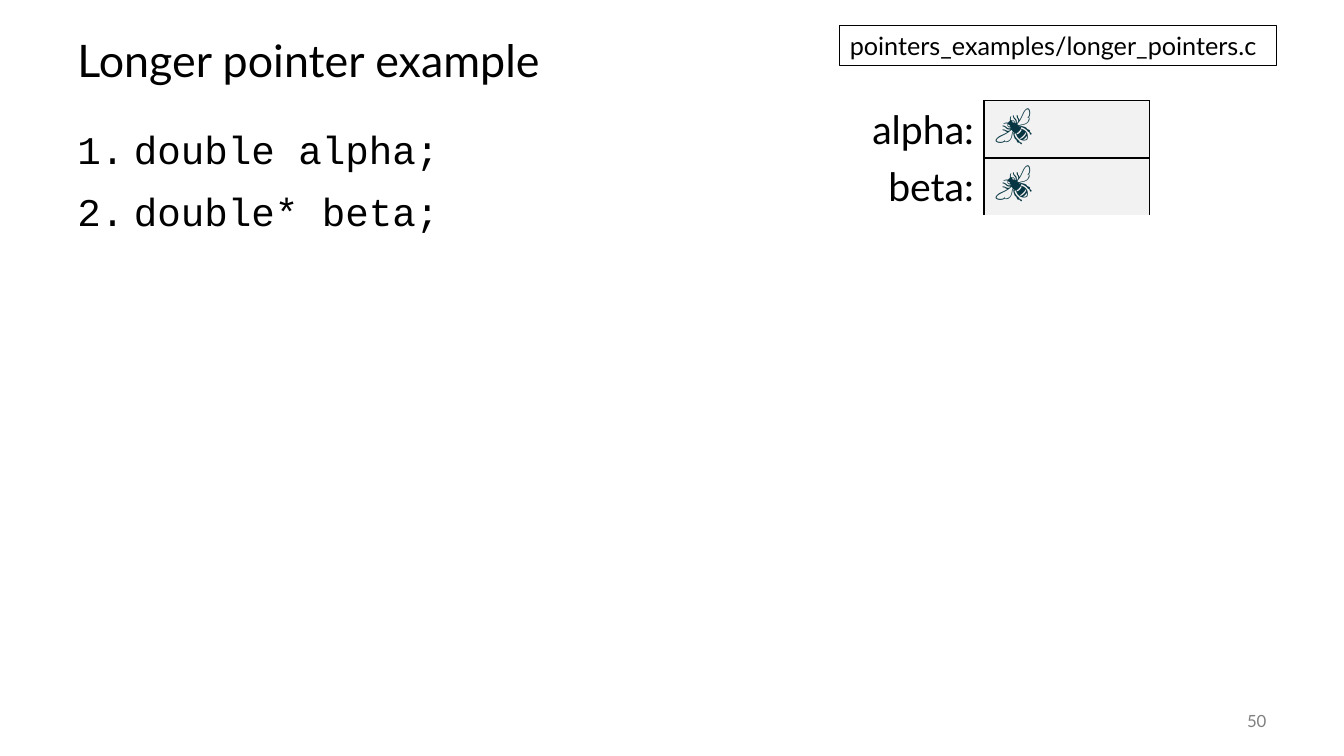
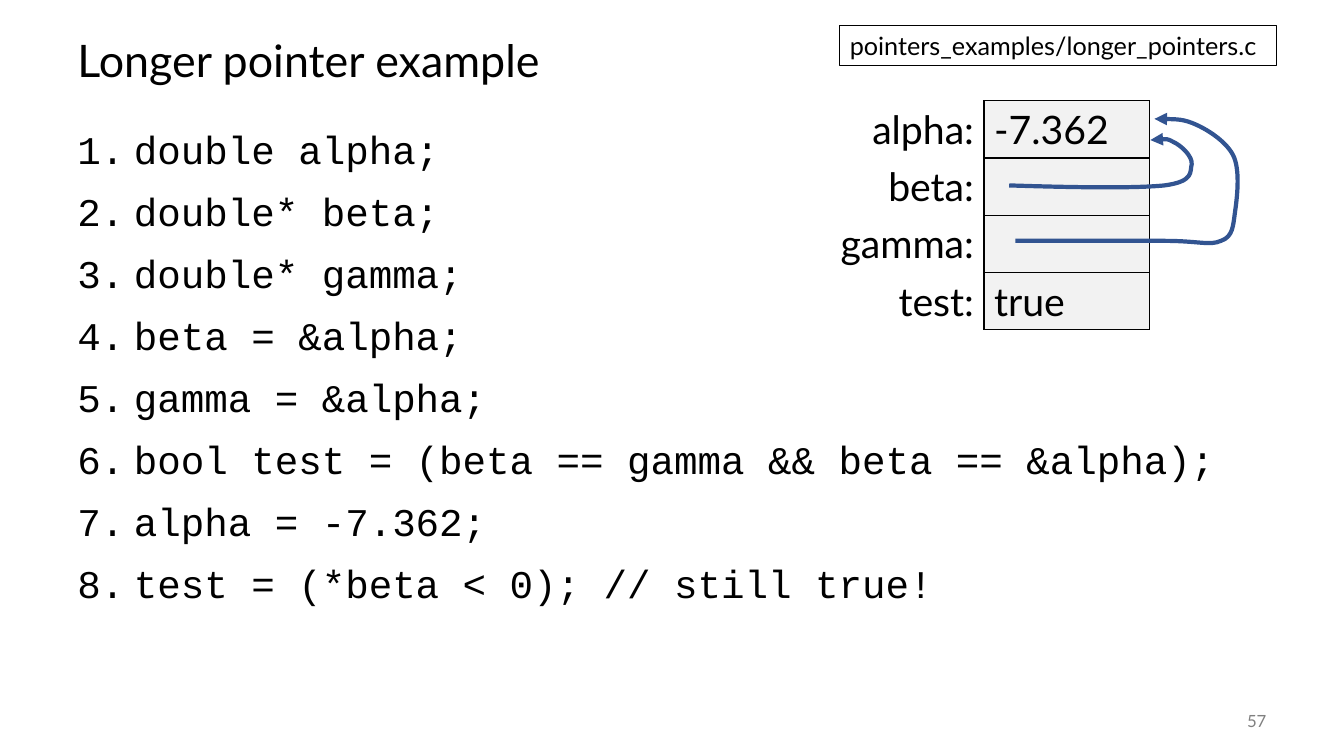
import pptx
import pptx.dml.color
import pptx.enum.shapes
import pptx.enum.text
import pptx.oxml
import pptx.oxml.ns
import pptx.util

Inches = pptx.util.Inches
Pt = pptx.util.Pt
Align = pptx.enum.text.PP_ALIGN
Anchor = pptx.enum.text.MSO_ANCHOR

COLORS = {
    "ink": "000000",
    "number": "808080",
    "bee": "073642",
    "cell": "F2F2F2",
    "arrow": "325491",
}
TEXT_FONT = "Lato"
CODE_FONT = "Courier New"
ROW_HEIGHT = 0.41
COLUMN_WIDTH = 1.64

CODE = [
    "double alpha;",
    "double* beta;",
    "double* gamma;",
    "beta = &alpha;",
    "gamma = &alpha;",
    "bool test = (beta == gamma && beta == &alpha);",
    "alpha = -7.362;",
    "test = (*beta < 0); // still true!",
]
BEE = "🐝"
BETA_ARROW = [
    (10.01, 1.84), (10.63, 1.86), (11.25, 1.87), (11.55, 1.84),
    (11.85, 1.8), (11.8, 1.7), (11.82, 1.63),
    (11.83, 1.55), (11.71, 1.44), (11.64, 1.41),
    (11.57, 1.37), (11.49, 1.38), (11.41, 1.39),
]
GAMMA_ARROW = [
    (10.07, 2.39), (10.5, 2.39), (11, 2.39), (11.55, 2.39),
    (11.89, 2.39), (12, 2.44), (12.11, 2.39),
    (12.23, 2.35), (12.23, 2.24), (12.25, 2.1),
    (12.27, 1.96), (12.3, 1.71), (12.24, 1.56),
    (12.18, 1.42), (12, 1.3), (11.87, 1.24),
    (11.74, 1.18), (11.6, 1.18), (11.45, 1.18),
]


def rgb(name):
    return pptx.dml.color.RGBColor.from_string(COLORS[name])


def append_xml(parent, tag, **attributes):
    element = pptx.oxml.parse_xml(f"<a:{tag} {pptx.oxml.ns.nsdecls('a')}/>")
    for key, value in attributes.items():
        element.set(key, value)
    parent.append(element)
    return element


def style_paragraph(paragraph, size, color="ink", font=TEXT_FONT, align=Align.LEFT):
    paragraph.alignment = align
    for run in paragraph.runs:
        run.font.size = Pt(size)
        run.font.name = font
        run.font.color.rgb = rgb(color)


def add_text(slide, box, lines, anchor=Anchor.TOP, **style):
    shape = slide.shapes.add_textbox(*map(Inches, box))
    frame = shape.text_frame
    frame.word_wrap = True
    frame.vertical_anchor = anchor
    frame.text = "\n".join(lines)
    for paragraph in frame.paragraphs:
        style_paragraph(paragraph, **style)
    return shape


def add_code(slide, lines):
    shape = add_text(slide, (0.67, 1.25, 12, 5.5), lines, size=28, font=CODE_FONT)
    for index, paragraph in enumerate(shape.text_frame.paragraphs):
        paragraph.line_spacing = 0.9
        if index:
            paragraph.space_before = Pt(14)
        properties = paragraph._p.get_or_add_pPr()
        properties.set("marL", str(Inches(0.56)))
        properties.set("indent", str(-Inches(0.56)))
        append_xml(properties, "buFont", typeface=CODE_FONT)
        append_xml(properties, "buAutoNum", type="arabicPeriod")


def add_border(cell, side):
    properties = cell._tc.get_or_add_tcPr()
    line = append_xml(properties, f"ln{side}", w=str(Pt(1)))
    fill = append_xml(line, "solidFill")
    append_xml(fill, "srgbClr", val=COLORS["ink"])


def fill_variable_row(name_cell, value_cell, label, value):
    name_cell.text = f"{label}:"
    value_cell.text = value
    style_paragraph(name_cell.text_frame.paragraphs[0], 28, align=Align.RIGHT)
    is_bee = value == BEE
    style_paragraph(
        value_cell.text_frame.paragraphs[0], 28,
        color="bee" if is_bee else "ink",
        font=CODE_FONT if is_bee else TEXT_FONT)
    add_border(name_cell, "R")
    for side in "LRTB":
        add_border(value_cell, side)
    name_cell.fill.background()
    value_cell.fill.solid()
    value_cell.fill.fore_color.rgb = rgb("cell")


def add_memory(slide, variables, row_count):
    frame = slide.shapes.add_table(
        row_count, 2, Inches(8.12), Inches(1),
        Inches(2 * COLUMN_WIDTH), Inches(ROW_HEIGHT * row_count))
    table = frame.table
    table.first_row = False
    table.horz_banding = False
    for row, (label, value) in enumerate(variables):
        fill_variable_row(table.cell(row, 0), table.cell(row, 1), label, value)
    for row in range(len(variables), row_count):
        for column in range(2):
            table.cell(row, column).fill.background()


def add_curved_arrow(slide, points):
    start, *others = [(Inches(x), Inches(y)) for x, y in points]
    builder = slide.shapes.build_freeform(*start)
    builder.add_line_segments(others, close=False)
    shape = builder.convert_to_shape()
    outline = shape._element.find(".//" + pptx.oxml.ns.qn("a:path"))
    segments = outline.findall(pptx.oxml.ns.qn("a:lnTo"))
    for first in range(0, len(segments), 3):
        curve = append_xml(outline, "cubicBezTo")
        for segment in segments[first:first + 3]:
            curve.append(segment[0])
            outline.remove(segment)
    shape.shadow.inherit = False
    shape.fill.background()
    shape.line.color.rgb = rgb("arrow")
    shape.line.width = Pt(3)
    append_xml(shape.line._get_or_add_ln(), "tailEnd", type="triangle")


def add_file_label(slide, text):
    label = add_text(slide, (8.33, 0.25, 4.33, 0.4), [text], size=18)
    label.line.color.rgb = rgb("ink")
    label.line.width = Pt(0.75)


def add_example_slide(presentation, number, code, variables, row_count, arrows=()):
    slide = presentation.slides.add_slide(presentation.slide_layouts[6])
    title = add_text(slide, (0.67, 0.25, 12, 0.75), ["Longer pointer example"],
                     anchor=Anchor.MIDDLE, size=32)
    title.text_frame.paragraphs[0].line_spacing = 0.9
    add_code(slide, code)
    add_text(slide, (11.66, 6.95, 1, 0.4), [str(number)], anchor=Anchor.MIDDLE,
             size=12, color="number", align=Align.RIGHT)
    add_memory(slide, variables, row_count)
    for points in arrows:
        add_curved_arrow(slide, points)
    add_file_label(slide, "pointers_examples/longer_pointers.c")


def main():
    presentation = pptx.Presentation()
    presentation.slide_width = Inches(13.33)
    presentation.slide_height = Inches(7.5)
    add_example_slide(
        presentation, 50, CODE[:2], [("alpha", BEE), ("beta", BEE)], 3)
    add_example_slide(
        presentation, 57, CODE,
        [("alpha", "-7.362"), ("beta", ""), ("gamma", ""), ("test", "true")], 4,
        [BETA_ARROW, GAMMA_ARROW])
    presentation.save("out.pptx")


if __name__ == "__main__":
    main()
